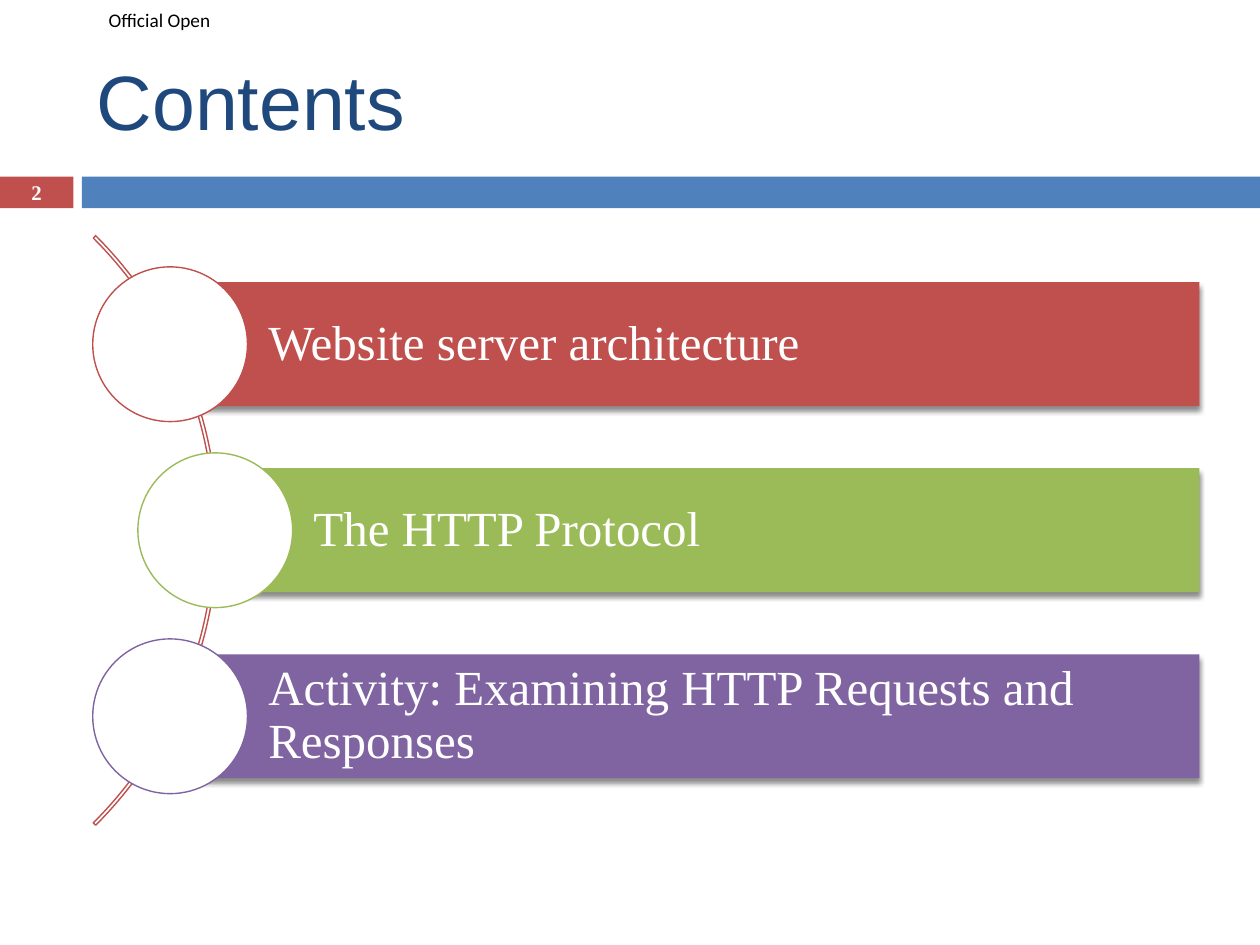
"""Build the contents slide of a web server lesson."""
import pptx
import pptx.dml.color
import pptx.enum.shapes
import pptx.enum.text
import pptx.oxml
import pptx.util

Cm = pptx.util.Cm
Pt = pptx.util.Pt
KIND = pptx.enum.shapes.MSO_SHAPE
ALIGN = pptx.enum.text.PP_ALIGN
RED, BLUE, GREEN, PURPLE = "C0504D", "4F81BD", "9BBB59", "8064A2"
WHITE, BLACK, NAVY = "FFFFFF", "000000", "1F497D"
SERIF = "Times New Roman"
RIGHT, PITCH, HIGH, DISC = 24.18, 3.75, 2.5, 3.12
TOPICS = [
    ("Website server architecture", RED, 3.43),
    ("The HTTP Protocol", GREEN, 4.34),
    ("Activity: Examining HTTP Requests and Responses", PURPLE, 3.43),
]
SHADOW = (
    '<a:effectLst xmlns:a="http://schemas.openxmlformats.org/drawingml/2006/main">'
    '<a:outerShdw blurRad="38100" dist="30000" dir="5400000" rotWithShape="0">'
    '<a:srgbClr val="000000"><a:alpha val="45000"/></a:srgbClr>'
    "</a:outerShdw></a:effectLst>"
)


def tint(color, code):
    """Set a colour from a hex string."""
    color.rgb = pptx.dml.color.RGBColor.from_string(code)


def shape(slide, kind, box, fill=None, line=None):
    """Add a flat preset shape at a box given in centimetres."""
    item = slide.shapes.add_shape(kind, *map(Cm, box))
    item.shadow.inherit = False
    if fill:
        item.fill.solid()
        tint(item.fill.fore_color, fill)
    else:
        item.fill.background()
    if line:
        tint(item.line.color, line)
        item.line.width = Pt(0.79)
    else:
        item.line.fill.background()
    return item


def write(item, text, size, font, code, pad, align=ALIGN.LEFT, bold=False):
    """Write one run into a shape and return its paragraph."""
    frame = item.text_frame
    frame.word_wrap = True
    frame.vertical_anchor = pptx.enum.text.MSO_ANCHOR.MIDDLE
    (frame.margin_left, frame.margin_top,
     frame.margin_right, frame.margin_bottom) = map(Cm, pad)
    para = frame.paragraphs[0]
    para.alignment = align
    run = para.add_run()
    run.text = text
    run.font.size = Pt(size)
    run.font.name = font
    run.font.bold = bold
    tint(run.font.color, code)
    return para


def head(slide):
    """Add the label, the title and the numbered band."""
    label = slide.shapes.add_textbox(0, 0, Cm(4.7), Cm(0.79))
    write(label, "Official Open", 11, "Calibri", BLACK, (2.19, 0, 0, 0))
    title = slide.shapes.title
    title.left, title.top = Cm(1.7), Cm(0.64)
    title.width, title.height = Cm(22.66), Cm(2.74)
    write(title, "Contents", 44, "Arial", NAVY, (0.25, 0.13, 0.25, 0.13))
    shape(slide, KIND.RECTANGLE, (1.65, 3.56, 23.75, 0.64), BLUE)
    page = shape(slide, KIND.RECTANGLE, (0, 3.56, 1.48, 0.64), RED)
    write(page, "2", 11.9, SERIF, WHITE, (0, 0, 0, 0), ALIGN.CENTER, True)


def curve(slide):
    """Add the thin arc that links the topics."""
    arc = shape(slide, KIND.BLOCK_ARC, (-12.42, 2.29, 16.81, 16.81), line=RED)
    for spot, value in enumerate((189, 27, 0.004)):
        arc.adjustments[spot] = value


def topic(slide, row, text, code, left):
    """Add a topic bar with a disc centred on its left edge."""
    mid = 6.94 + row * PITCH
    box = (left, mid - HIGH / 2, RIGHT - left, HIGH)
    bar = shape(slide, KIND.RECTANGLE, box, code)
    props = bar.element.spPr
    props.remove(props.find(pptx.oxml.ns.qn("a:effectLst")))
    props.append(pptx.oxml.parse_xml(SHADOW))
    para = write(bar, text, 28, SERIF, WHITE, (1.98, 0.2, 0.2, 0.2))
    para.line_spacing = 0.9
    box = (left - DISC / 2, mid - DISC / 2, DISC, DISC)
    shape(slide, KIND.OVAL, box, WHITE, code)


def main():
    """Build and save the slide."""
    deck = pptx.Presentation()
    deck.slide_width, deck.slide_height = Cm(25.4), Cm(19.05)
    slide = deck.slides.add_slide(deck.slide_layouts[5])
    head(slide)
    curve(slide)
    for row, entry in enumerate(TOPICS):
        topic(slide, row, *entry)
    deck.save("out.pptx")


if __name__ == "__main__":
    main()
